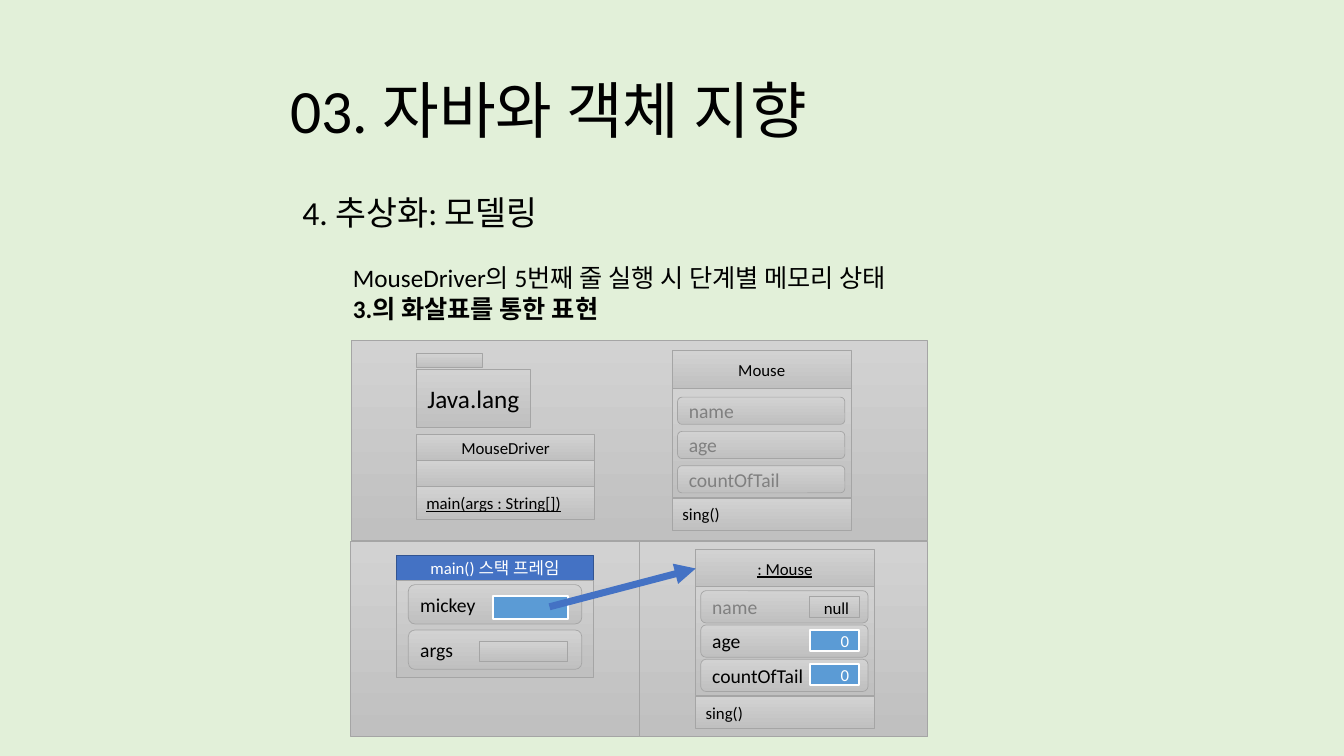
"""Build the slide on the memory state of MouseDriver with reference arrows."""
from lxml.etree import SubElement
from pptx import Presentation
from pptx.dml.color import RGBColor
from pptx.enum.shapes import MSO_CONNECTOR, MSO_SHAPE as SHAPE
from pptx.enum.text import MSO_ANCHOR as ANCHOR, MSO_AUTO_SIZE as AUTO_SIZE, PP_ALIGN as ALIGN
from pptx.oxml.ns import qn
from pptx.util import Inches, Pt

BACKGROUND = RGBColor(0xE2, 0xF0, 0xD9)
BLACK = RGBColor(0, 0, 0)
WHITE = RGBColor(0xFF, 0xFF, 0xFF)
MUTED = RGBColor(0x80, 0x80, 0x80)
GRAY_TOP = RGBColor(0xD2, 0xD2, 0xD2)
GRAY_BOTTOM = RGBColor(0xC0, 0xC0, 0xC0)
GRAY_LINE = RGBColor(0xA5, 0xA5, 0xA5)
BLUE = RGBColor(0x44, 0x72, 0xC4)
DARK_BLUE = RGBColor(0x32, 0x54, 0x91)
LIGHT_BLUE = RGBColor(0x5B, 0x9B, 0xD5)
FONT = "Calibri"


def add_run(paragraph, text, size, color=BLACK, bold=None, underline=None):
    run = paragraph.add_run()
    run.text = text
    run.font.name = FONT
    run.font.size = Pt(size)
    run.font.color.rgb = color
    run.font.bold = bold
    run.font.underline = underline


def add_box(parent, left, top, width, height, text="", size=12, color=BLACK, align=ALIGN.CENTER,
            underline=None, kind=SHAPE.RECTANGLE, fill=None, line=GRAY_LINE, line_width=0.5):
    shape = parent.shapes.add_shape(kind, Inches(left), Inches(top), Inches(width), Inches(height))
    shape.shadow.inherit = False
    if fill:
        shape.fill.solid()
        shape.fill.fore_color.rgb = fill
    else:
        shape.fill.gradient()
        shape.fill.gradient_angle = 270
        for stop, stop_color in zip(shape.fill.gradient_stops, (GRAY_TOP, GRAY_BOTTOM)):
            stop.color.rgb = stop_color
        shape.fill.gradient_stops[0].position = 0
        shape.fill.gradient_stops[1].position = 1
    shape.line.color.rgb = line
    shape.line.width = Pt(line_width)
    if text:
        shape.text_frame.vertical_anchor = ANCHOR.MIDDLE
        paragraph = shape.text_frame.paragraphs[0]
        paragraph.alignment = align
        add_run(paragraph, text, size, color, underline=underline)
    return shape


presentation = Presentation()
presentation.slide_width = Inches(13.33)
presentation.slide_height = Inches(7.5)
slide = presentation.slides.add_slide(presentation.slide_layouts[1])
slide.background.fill.solid()
slide.background.fill.fore_color.rgb = BACKGROUND

title = slide.shapes.title
title.left, title.top, title.width, title.height = map(Inches, (2.78, 0.4, 10.29, 1.45))
title.text_frame.vertical_anchor = ANCHOR.MIDDLE
title_paragraph = title.text_frame.paragraphs[0]
title_paragraph.alignment = ALIGN.LEFT
title_paragraph.line_spacing = 0.9
add_run(title_paragraph, "03. 자바와 객체 지향", 44)

body = slide.placeholders[1]
body.left, body.top, body.width, body.height = map(Inches, (2.9, 1.85, 9.18, 1.41))
body.text_frame.auto_size = AUTO_SIZE.NONE
body_lines = [
    ("4. 추상화: 모델링", 24, 0, 0, None),
    ("MouseDriver의 5번째 줄 실행 시 단계별 메모리 상태", 18, 1, 22, None),
    ("3.의 화살표를 통한 표현", 18, 1, 0, True),
]
for index, (text, size, level, space, bold) in enumerate(body_lines):
    paragraph = body.text_frame.add_paragraph() if index else body.text_frame.paragraphs[0]
    paragraph.level = level
    paragraph.space_before = Pt(space)
    properties = paragraph._p.get_or_add_pPr()
    properties.set("marL", str(Inches(0.5 * level)))
    properties.set("indent", "0")
    SubElement(properties, qn("a:buNone"))
    add_run(paragraph, text, size, bold=bold)

for left, top, width, height in [(3.48, 3.38, 5.72, 1.98), (3.48, 5.37, 2.86, 1.94),
                                 (6.34, 5.37, 2.86, 1.94)]:
    add_box(slide, left, top, width, height)

package_group = slide.shapes.add_group_shape()
add_box(package_group, 4.13, 3.51, 0.65, 0.14)
add_box(package_group, 4.13, 3.66, 1.13, 0.58, "Java.lang", 18)

driver_group = slide.shapes.add_group_shape()
add_box(driver_group, 4.13, 4.31, 1.77, 0.26, "MouseDriver")
add_box(driver_group, 4.13, 4.57, 1.77, 0.26)
add_box(driver_group, 4.13, 4.83, 1.77, 0.32, "main(args : String[])",
        align=ALIGN.LEFT, underline=True)

add_box(slide, 3.93, 5.51, 1.96, 0.25, "main() 스택 프레임", color=WHITE,
        fill=BLUE, line=DARK_BLUE, line_width=1)
add_box(slide, 3.93, 5.76, 1.96, 0.96)
for top, variable in [(6.25, "args"), (5.8, "mickey")]:
    add_box(slide, 4.05, top, 1.72, 0.39, variable, 14, align=ALIGN.LEFT,
            kind=SHAPE.ROUNDED_RECTANGLE)
add_box(slide, 4.75, 6.36, 0.88, 0.2)
add_box(slide, 4.89, 5.91, 0.74, 0.23, fill=LIGHT_BLUE, line=WHITE, line_width=1.5)

mouse_group = slide.shapes.add_group_shape()
fields = ["name", "age", "countOfTail"]
mouse_boxes = [
    (mouse_group, 6.67, 3.48, "Mouse", None, 3.94, 0.34, 0.27, [MUTED, MUTED, MUTED]),
    (slide, 6.9, 5.45, ": Mouse", True, 5.86, 0.34, 0.32, [MUTED, BLACK, BLACK]),
]
for parent, left, top, name, underline, field_top, step, field_height, colors in mouse_boxes:
    header = add_box(parent, left, top, 1.77, 0.38, name, underline=underline)
    add_box(parent, left, top + 0.37, 1.77, 1.08)
    add_box(parent, left, top + 1.46, 1.77, 0.32, "sing()", align=ALIGN.LEFT)
    for index, (field, color) in enumerate(zip(fields, colors)):
        add_box(parent, left + 0.05, field_top + step * index, 1.66, field_height, field, 14,
                color, ALIGN.LEFT, kind=SHAPE.ROUNDED_RECTANGLE)

add_box(slide, 8.03, 5.92, 0.49, 0.21, "null", align=ALIGN.RIGHT)
for top in (6.25, 6.59):
    add_box(slide, 8.03, top, 0.49, 0.21, "0", color=WHITE, align=ALIGN.RIGHT,
            fill=LIGHT_BLUE, line=WHITE, line_width=1.5)

reference = slide.shapes.add_connector(MSO_CONNECTOR.STRAIGHT, Inches(5.45), Inches(6.02),
                                       Inches(6.9), Inches(5.64))
reference.end_connect(header, 1)
reference.line.color.rgb = BLUE
reference.line.width = Pt(5)
reference_properties = reference._element.spPr
SubElement(reference_properties.find(qn("a:ln")), qn("a:tailEnd"), type="triangle")
SubElement(reference_properties, qn("a:effectLst"))

presentation.save("out.pptx")
